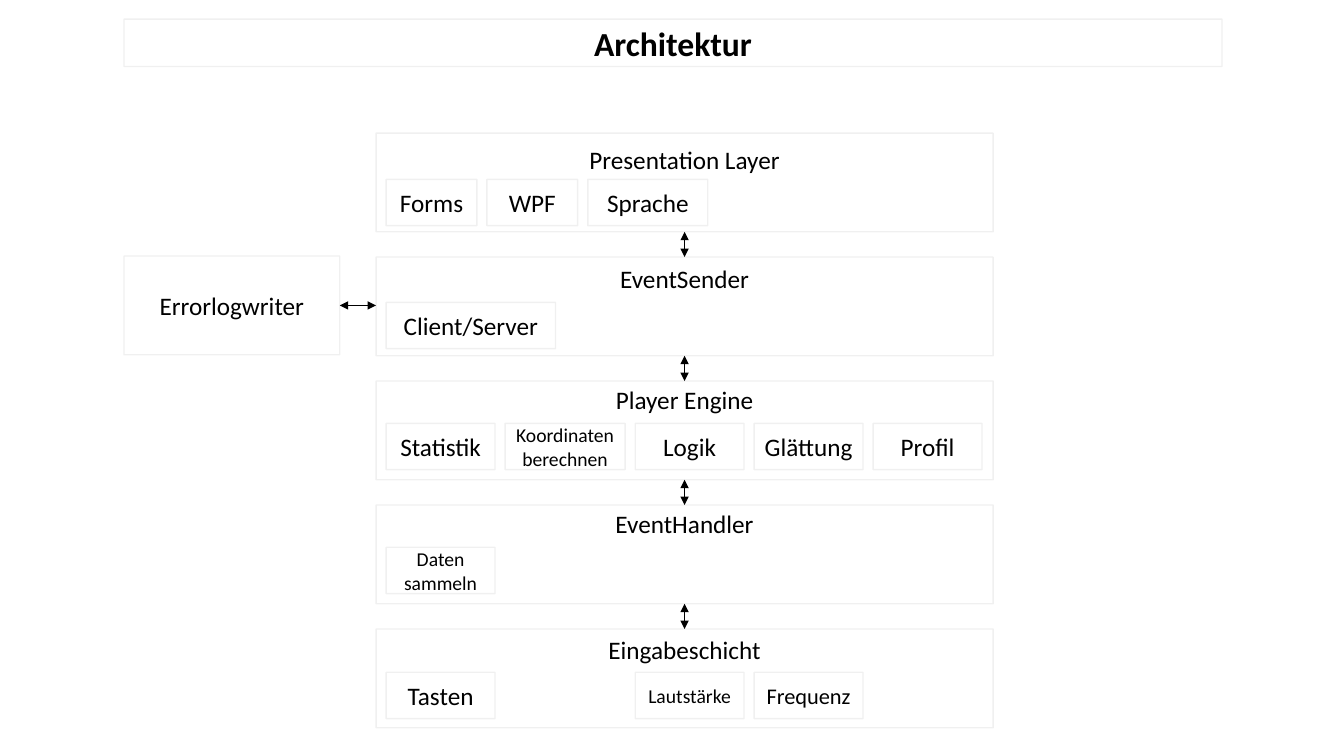
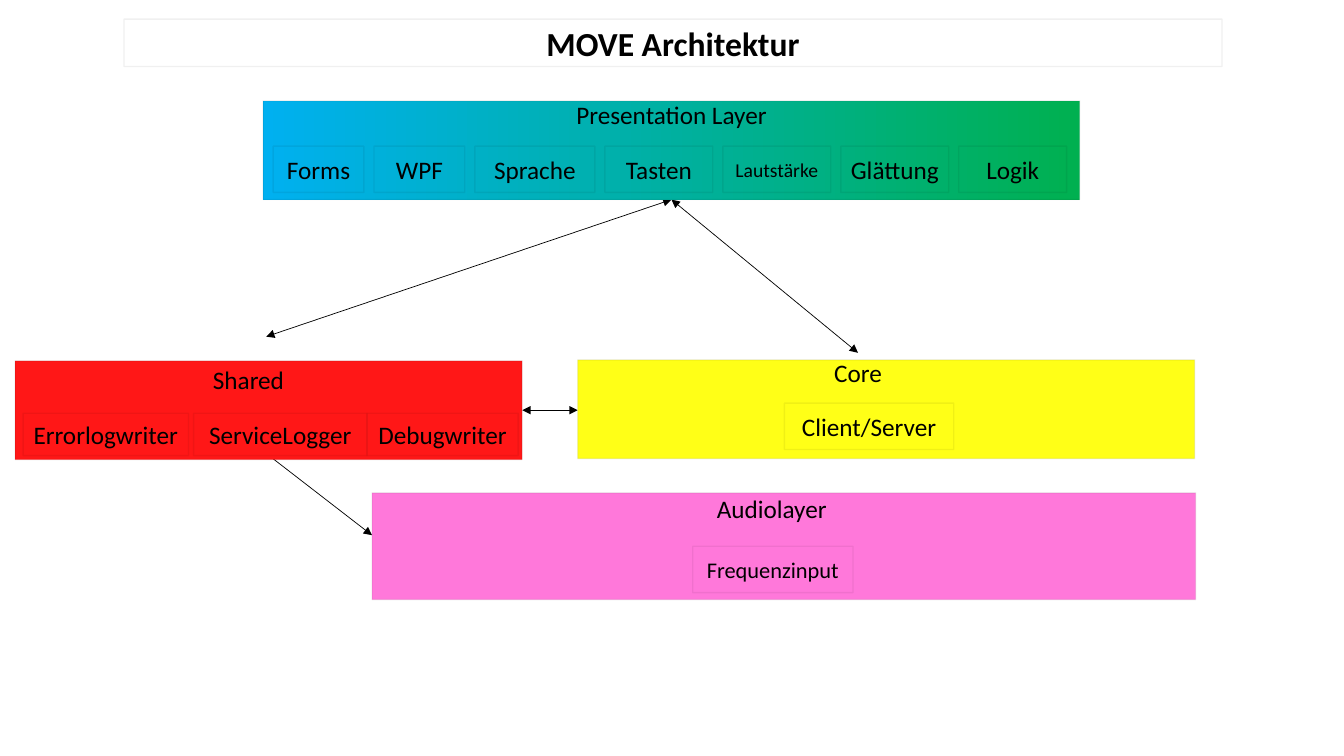
from itertools import pairwise

from lxml.etree import SubElement
from pptx import Presentation
from pptx.dml.color import RGBColor
from pptx.enum.shapes import MSO_CONNECTOR as CONNECTOR, MSO_SHAPE as SHAPE
from pptx.enum.text import MSO_ANCHOR as ANCHOR, PP_ALIGN as ALIGN
from pptx.oxml.ns import qn
from pptx.util import Inches, Pt

FONT = "Calibri"
BLACK, RED, YELLOW, PINK = "000000", "FF1717", "FFFF17", "FF78DA"
GREEN_TO_BLUE = ("00B050", "00B0F0")
OUTLINE_OPACITY = 5
TITLE_BOX = (1.23, 0.19, 10.89, 0.47)
LAYER_LEFT, LAYER_TOP, LAYER_WIDTH, LAYER_HEIGHT, LAYER_STEP = 3.73, 1.32, 6.12, 0.98, 1.23


def rgb(code):
    """Turn a hex string into a colour."""
    return RGBColor.from_string(code)


def paint(shape, fill):
    """Fill a shape with nothing, one colour, or a gradient pair."""
    if fill is None:
        shape.fill.background()
    elif isinstance(fill, tuple):
        shape.fill.gradient()
        shape.fill.gradient_angle = 180
        for stop, code in zip(shape.fill.gradient_stops, fill):
            stop.color.rgb = rgb(code)
    else:
        shape.fill.solid()
        shape.fill.fore_color.rgb = rgb(fill)


def rectangle(slide, box, fill=None):
    """Draw a rectangle with a faint outline and no shadow."""
    shape = slide.shapes.add_shape(SHAPE.RECTANGLE, *map(Inches, box))
    shape.shadow.inherit = False
    paint(shape, fill)
    shape.line.color.rgb = rgb(BLACK)
    shape.line.width = Pt(1)
    ink = shape.element.spPr.find(qn("a:ln")).find(qn("a:solidFill"))[0]
    SubElement(ink, qn("a:alpha"), val=str(OUTLINE_OPACITY * 1000))
    return shape


def write(shape, text, size=18, bold=False, anchor=ANCHOR.MIDDLE):
    """Write centred text into a shape."""
    frame = shape.text_frame
    frame.word_wrap = True
    frame.vertical_anchor = anchor
    frame.margin_left = frame.margin_right = Inches(0.05)
    paragraph = frame.paragraphs[0]
    paragraph.alignment = ALIGN.CENTER
    run = paragraph.add_run()
    run.text = text
    run.font.name, run.font.size, run.font.bold = FONT, Pt(size), bold
    run.font.color.rgb = rgb(BLACK)


def arrow(slide, start, end):
    """Draw a thin double-headed arrow."""
    connector = slide.shapes.add_connector(CONNECTOR.STRAIGHT, *map(Inches, start + end))
    connector.line.color.rgb = rgb(BLACK)
    connector.line.width = Pt(0.5)
    outline = connector.element.spPr.find(qn("a:ln"))
    for tip in ("a:headEnd", "a:tailEnd"):
        SubElement(outline, qn(tip), type="triangle")
    SubElement(connector.element.spPr, qn("a:effectLst"))


def layer(slide, box, heading, parts, fill=None, heading_top=0, heading_shift=0,
          heading_width=1.9, row_top=0.45, row_left=0.1, row_height=0.46, gap=0.1):
    """Draw a layer with a heading and a row of (text, width, size) parts."""
    left, top, width, _ = box
    rectangle(slide, box, fill)
    heading_left = left + (width - heading_width) / 2 + heading_shift
    heading_box = (heading_left, top + heading_top, heading_width, 0.4)
    title = slide.shapes.add_textbox(*map(Inches, heading_box))
    write(title, heading, anchor=ANCHOR.TOP)
    x = left + row_left
    for text, part_width, size in parts:
        if text:
            part = rectangle(slide, (x, top + row_top, part_width, row_height))
            write(part, text, size=size)
        x += part_width + gap


def titled_slide(deck, title):
    """Add a blank slide with its title."""
    slide = deck.slides.add_slide(deck.slide_layouts[6])
    write(rectangle(slide, TITLE_BOX), title, size=24, bold=True)
    return slide


def stack_slide(deck):
    """Build the stack of five layers with the error log beside it."""
    slide = titled_slide(deck, "Architektur")
    layers = [
        ("Presentation Layer", 0.06, 0.46,
         [("Forms", 0.9, 18), ("WPF", 0.9, 18), ("Sprache", 1.19, 18)]),
        ("EventSender", 0.01, 0.45, [("Client/Server", 1.68, 18)]),
        ("Player Engine", -0.02, 0.42,
         [("Statistik", 1.08, 18), ("Koordinaten berechnen", 1.19, 14),
          ("Logik", 1.08, 18), ("Glättung", 1.08, 18), ("Profil", 1.08, 18)]),
        ("EventHandler", -0.02, 0.42, [("Daten sammeln", 1.08, 14)]),
        ("Eingabeschicht", 0, 0.43,
         [("Tasten", 1.08, 18), ("", 1.19, 18),
          ("Lautstärke", 1.08, 14), ("Frequenz", 1.08, 16)]),
    ]
    tops = [LAYER_TOP + LAYER_STEP * index for index in range(len(layers))]
    for top, (heading, heading_top, row_top, parts) in zip(tops, layers):
        layer(slide, (LAYER_LEFT, top, LAYER_WIDTH, LAYER_HEIGHT), heading, parts,
              heading_top=heading_top, heading_width=2.16, row_top=row_top)
    middle = LAYER_LEFT + LAYER_WIDTH / 2
    for upper, lower in pairwise(tops):
        arrow(slide, (middle, lower), (middle, upper + LAYER_HEIGHT))
    log_left, log_top, log_width = 1.23, 2.54, 2.14
    write(rectangle(slide, (log_left, log_top, log_width, LAYER_HEIGHT)), "Errorlogwriter")
    log_middle = log_top + LAYER_HEIGHT / 2
    arrow(slide, (log_left + log_width, log_middle), (LAYER_LEFT, log_middle))


def module_slide(deck):
    """Build the four coloured modules and the arrows between them."""
    slide = titled_slide(deck, "MOVE Architektur")
    presentation_foot = (6.66, 1.98)
    arrow(slide, (2.64, 3.34), presentation_foot)
    arrow(slide, (8.51, 3.5), presentation_foot)
    arrow(slide, (5.18, 4.07), (5.73, 4.07))
    arrow(slide, (3.69, 5.31), (2.5, 4.39))
    layer(slide, (2.61, 1, 8.1, 0.98), "Presentation Layer",
          [("Forms", 0.9, 18), ("WPF", 0.9, 18), ("Sprache", 1.19, 18),
           ("Tasten", 1.07, 18), ("Lautstärke", 1.07, 14),
           ("Glättung", 1.07, 18), ("Logik", 1.07, 18)],
          fill=GREEN_TO_BLUE, heading_top=-0.06, heading_width=8.09)
    layer(slide, (0.15, 3.58, 5.03, 0.98), "Shared",
          [("Errorlogwriter", 1.64, 18), ("", 0.05, 18),
           ("ServiceLogger", 1.72, 18), ("Debugwriter", 1.5, 18)],
          fill=RED, heading_top=-0.01, heading_shift=-0.2,
          row_top=0.52, row_left=0.08, row_height=0.42, gap=0)
    layer(slide, (5.73, 3.57, 6.12, 0.98), "Core", [("Client/Server", 1.68, 18)],
          fill=YELLOW, heading_top=-0.07, heading_shift=-0.28,
          row_top=0.43, row_left=2.05)
    layer(slide, (3.69, 4.89, 8.17, 1.06), "Audiolayer", [("Frequenzinput", 1.59, 16)],
          fill=PINK, heading_top=-0.05, heading_shift=-0.12,
          row_top=0.53, row_left=3.18)


def main():
    """Build and save the deck."""
    deck = Presentation()
    deck.slide_width, deck.slide_height = Inches(13.33), Inches(7.5)
    stack_slide(deck)
    module_slide(deck)
    deck.save("out.pptx")


main()
